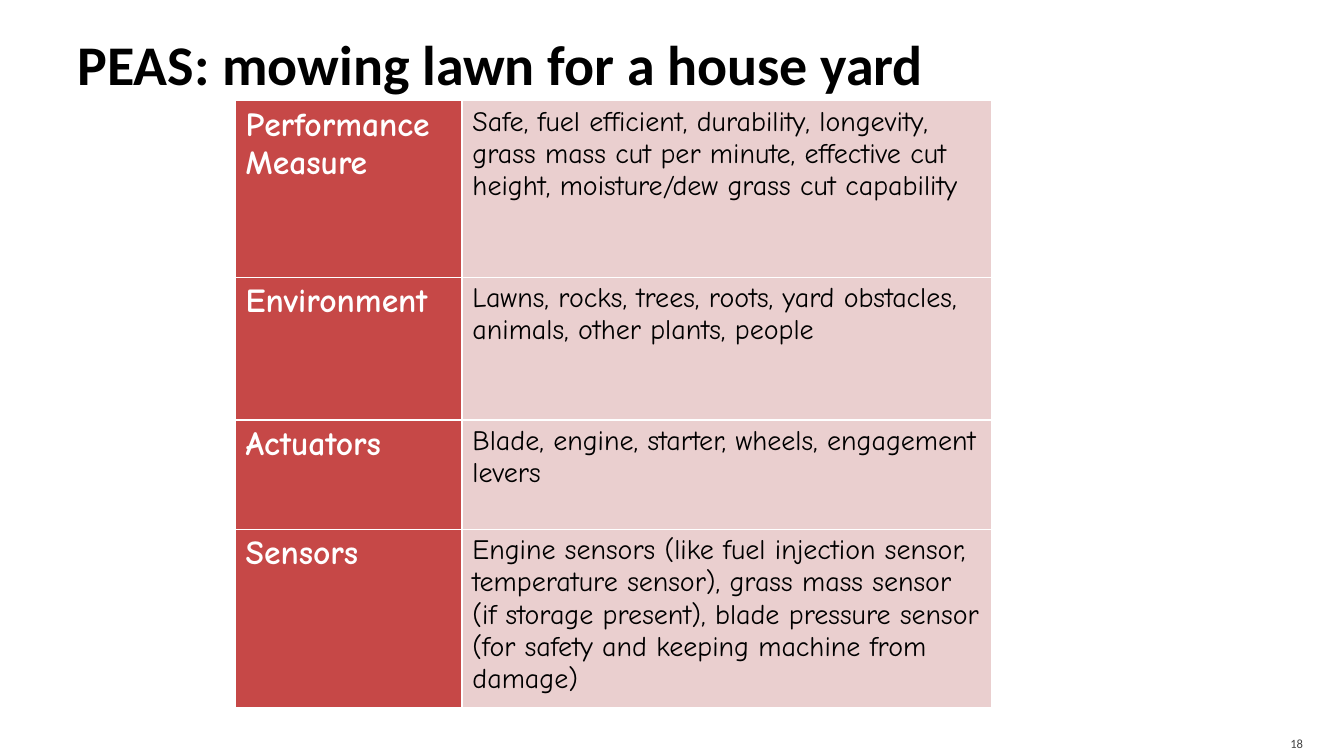
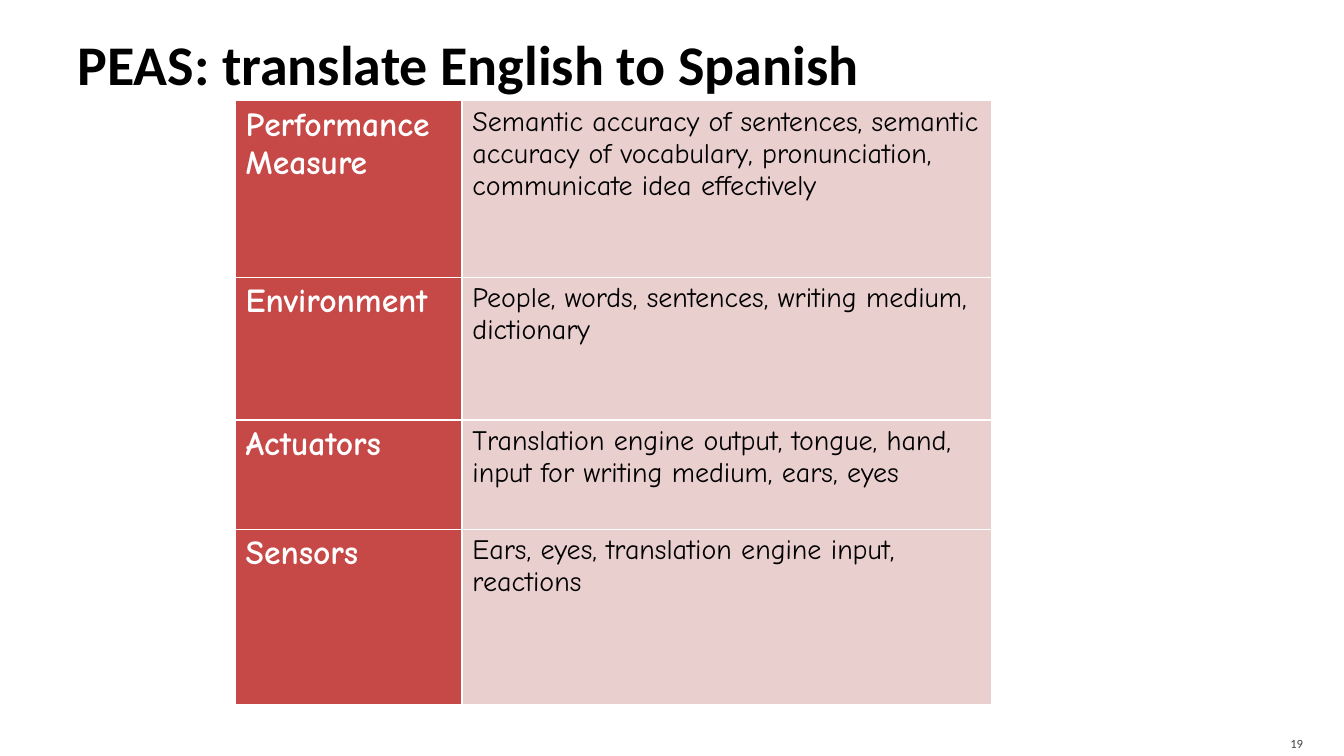
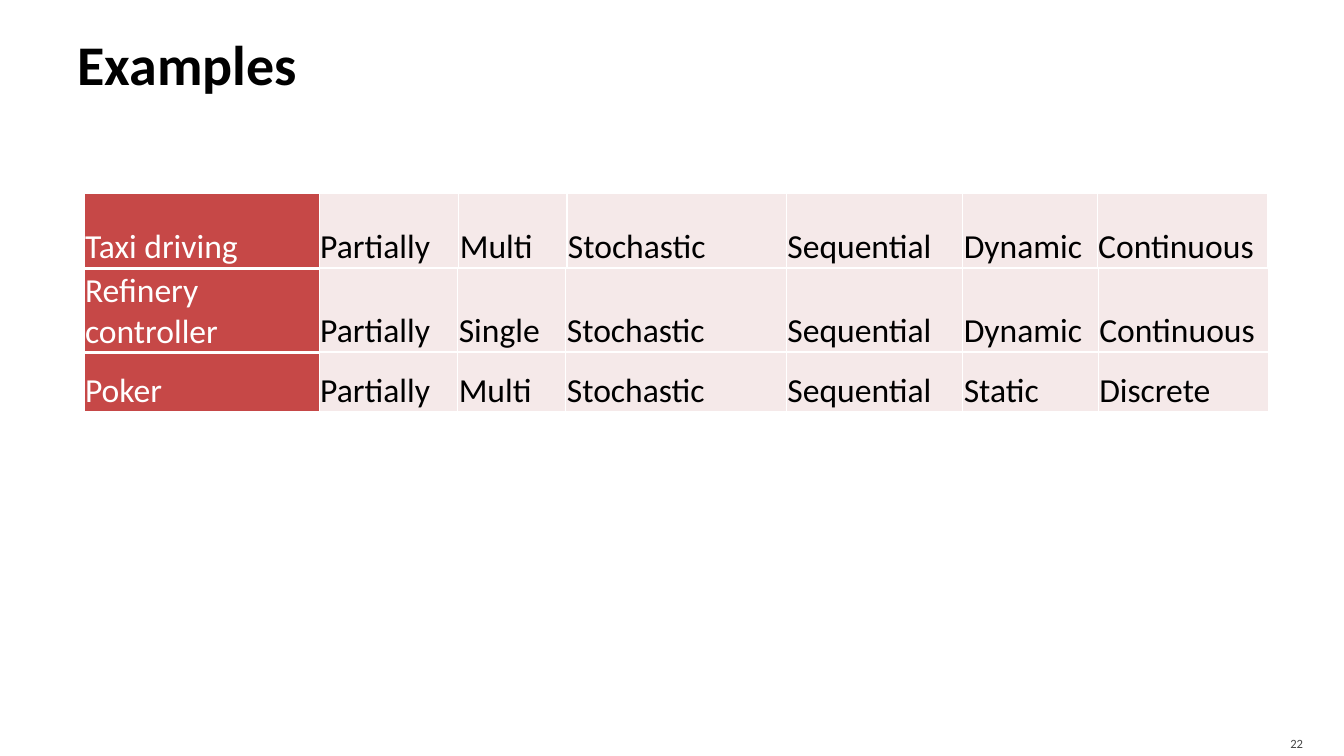
from lxml.etree import SubElement
from pptx import Presentation
from pptx.dml.color import RGBColor
from pptx.enum.text import MSO_ANCHOR as Anchor, PP_ALIGN as Align
from pptx.oxml.ns import qn
from pptx.util import Pt

PX = 9525  # EMU per pixel at 96 pixels to the inch
SLIDE_SIZE = (1280, 720)

BLACK = RGBColor(0x00, 0x00, 0x00)
WHITE = RGBColor(0xFF, 0xFF, 0xFF)
GRAY = RGBColor(0x45, 0x45, 0x45)
RED = RGBColor(0xC6, 0x48, 0x47)
PINK = RGBColor(0xEA, 0xCF, 0xCF)
PALE_PINK = RGBColor(0xF5, 0xE9, 0xE9)

TITLE_FONT = {"name": "Calibri", "size": Pt(40), "bold": True}
NUMBER_FONT = {"name": "Calibri", "size": Pt(9), "bold": False}
PEAS_LABEL_FONT = {"name": "Comic Neue", "size": Pt(24), "bold": True}
PEAS_TEXT_FONT = {"name": "Comic Neue", "size": Pt(20), "bold": False}
EXAMPLE_FONT = {"name": "Calibri", "size": Pt(24), "bold": False}

# A cell look is fill, text colour, font.
PEAS_LABEL = (RED, WHITE, PEAS_LABEL_FONT)
PEAS_TEXT = (PINK, BLACK, PEAS_TEXT_FONT)
EXAMPLE_LABEL = (RED, WHITE, EXAMPLE_FONT)
EXAMPLE_TRAIT = (PALE_PINK, BLACK, EXAMPLE_FONT)

# Margins are left, top, right, bottom.
PEAS_CELL = ((10, 5, 10, 5), Anchor.TOP)
EXAMPLE_CELL = ((1, 1, 1, 0), Anchor.BOTTOM)

PEAS_NAMES = ("Performance Measure", "Environment", "Actuators", "Sensors")
PEAS_WIDTHS = (216, 504)
PEAS_HEIGHTS = (168, 136, 104, 167)

LABEL_LEFT, LABEL_WIDTH = 80, 224
TRAITS_LEFT = LABEL_LEFT + LABEL_WIDTH
TRAIT_WIDTHS = (132, 103, 210, 168, 129, 162)

PEAS_SLIDES = (
    ("PEAS: mowing lawn for a house yard", 18, (
        "Safe, fuel efficient, durability, longevity, grass mass cut per minute, "
        "effective cut height, moisture/dew grass cut capability",
        "Lawns, rocks, trees, roots, yard obstacles, animals, other plants, people",
        "Blade, engine, starter, wheels, engagement levers",
        "Engine sensors (like fuel injection sensor, temperature sensor), "
        "grass mass sensor (if storage present), blade pressure sensor "
        "(for safety and keeping machine from damage)",
    )),
    ("PEAS: translate English to Spanish", 19, (
        "Semantic accuracy of sentences, semantic accuracy of vocabulary, "
        "pronunciation, communicate idea effectively",
        "People, words, sentences, writing medium, dictionary",
        "Translation engine output, tongue, hand, input for writing medium, ears, eyes",
        "Ears, eyes, translation engine input, reactions",
    )),
)

TAXI = ("Taxi driving", "Partially", "Multi", "Stochastic", "Sequential",
        "Dynamic", "Continuous")
TAXI_WIDTHS = (LABEL_WIDTH, 133, 103, 209, 168, 128, 162)

# Top, height, label, traits
SPLIT_EXAMPLES = (
    (256, 79, "Refinery controller",
     ("Partially", "Single", "Stochastic", "Sequential", "Dynamic", "Continuous")),
    (336, 56, "Poker",
     ("Partially", "Multi", "Stochastic", "Sequential", "Static", "Discrete")),
)


def emu(*lengths):
    return [length * PX for length in lengths]


def set_margins(target, margins):
    for side, margin in zip(("left", "top", "right", "bottom"), emu(*margins)):
        setattr(target, f"margin_{side}", margin)


def write(frame, text, font_format, color, align=Align.LEFT):
    frame.word_wrap = True
    paragraph = frame.paragraphs[0]
    paragraph.alignment = align
    run = paragraph.add_run()
    run.text = text
    for attribute, value in font_format.items():
        setattr(run.font, attribute, value)
    run.font.color.rgb = color


def add_text(slide, box, text, font_format, color, margins, align=Align.LEFT):
    frame = slide.shapes.add_textbox(*emu(*box)).text_frame
    set_margins(frame, margins)
    frame.vertical_anchor = Anchor.MIDDLE
    write(frame, text, font_format, color, align)


def add_borders(cell):
    """Draw a white 1 pt line on each side; call before the fill is set."""
    properties = cell._tc.get_or_add_tcPr()
    for side in ("lnL", "lnR", "lnT", "lnB"):
        line = SubElement(properties, qn(f"a:{side}"), w=str(Pt(1)))
        fill = SubElement(line, qn("a:solidFill"))
        SubElement(fill, qn("a:srgbClr"), val=str(WHITE))


def style_cell(cell, text, look, layout):
    fill, color, font_format = look
    margins, anchor = layout
    add_borders(cell)
    cell.fill.solid()
    cell.fill.fore_color.rgb = fill
    set_margins(cell, margins)
    cell.vertical_anchor = anchor
    write(cell.text_frame, text, font_format, color)


def add_grid(slide, corner, widths, heights, rows, looks, layout):
    """Add a table; looks holds one cell look for each column."""
    frame = slide.shapes.add_table(
        len(heights), len(widths), *emu(*corner, sum(widths), sum(heights)))
    table = frame.table
    table.first_row = table.horz_banding = False
    for column, width in zip(table.columns, emu(*widths)):
        column.width = width
    for row, height, texts in zip(table.rows, emu(*heights), rows):
        row.height = height
        for cell, text, look in zip(row.cells, texts, looks):
            style_cell(cell, text, look, layout)


def add_slide(deck, title, number):
    slide = deck.slides.add_slide(deck.slide_layouts[6])
    add_text(slide, (64, 8, 1152, 104), title, TITLE_FONT, BLACK, (10, 5, 5, 5))
    add_text(slide, (1148, 691, 103, 29), str(number), NUMBER_FONT, GRAY,
             (10, 5, 10, 0), Align.RIGHT)
    return slide


def add_example(slide, left, top, widths, height, texts, looks):
    add_grid(slide, (left, top), widths, (height,), (texts,), looks, EXAMPLE_CELL)


def add_examples_slide(deck):
    slide = add_slide(deck, "Examples", 22)
    trait_looks = [EXAMPLE_TRAIT] * len(TRAIT_WIDTHS)
    add_example(slide, LABEL_LEFT, 184, TAXI_WIDTHS, 71, TAXI,
                [EXAMPLE_LABEL, *trait_looks])
    for top, height, label, traits in SPLIT_EXAMPLES:
        add_example(slide, LABEL_LEFT, top + 1, (LABEL_WIDTH,), height - 1,
                    (label,), [EXAMPLE_LABEL])
        add_example(slide, TRAITS_LEFT, top, TRAIT_WIDTHS, height, traits, trait_looks)


def main():
    deck = Presentation()
    deck.slide_width, deck.slide_height = emu(*SLIDE_SIZE)
    for title, number, answers in PEAS_SLIDES:
        add_grid(add_slide(deck, title, number), (224, 96), PEAS_WIDTHS, PEAS_HEIGHTS,
                 zip(PEAS_NAMES, answers), (PEAS_LABEL, PEAS_TEXT), PEAS_CELL)
    add_examples_slide(deck)
    deck.save("out.pptx")


if __name__ == "__main__":
    main()
